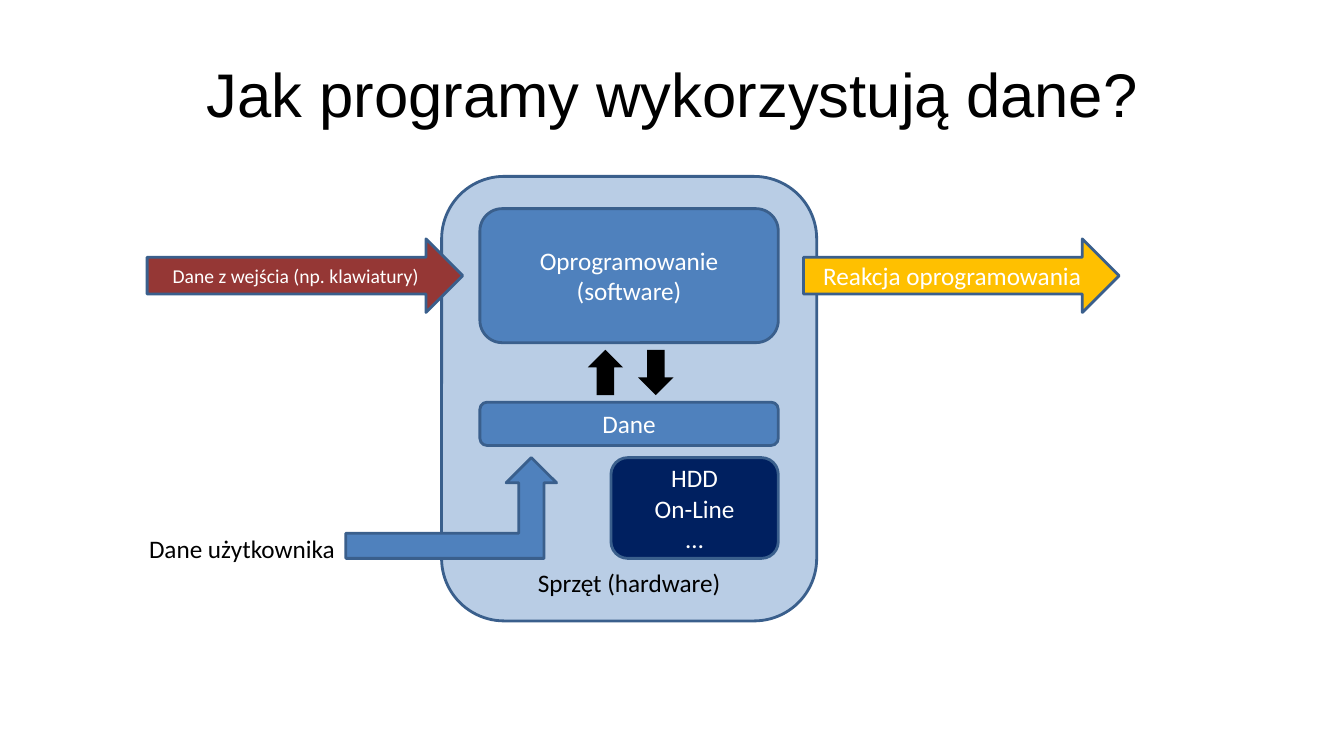
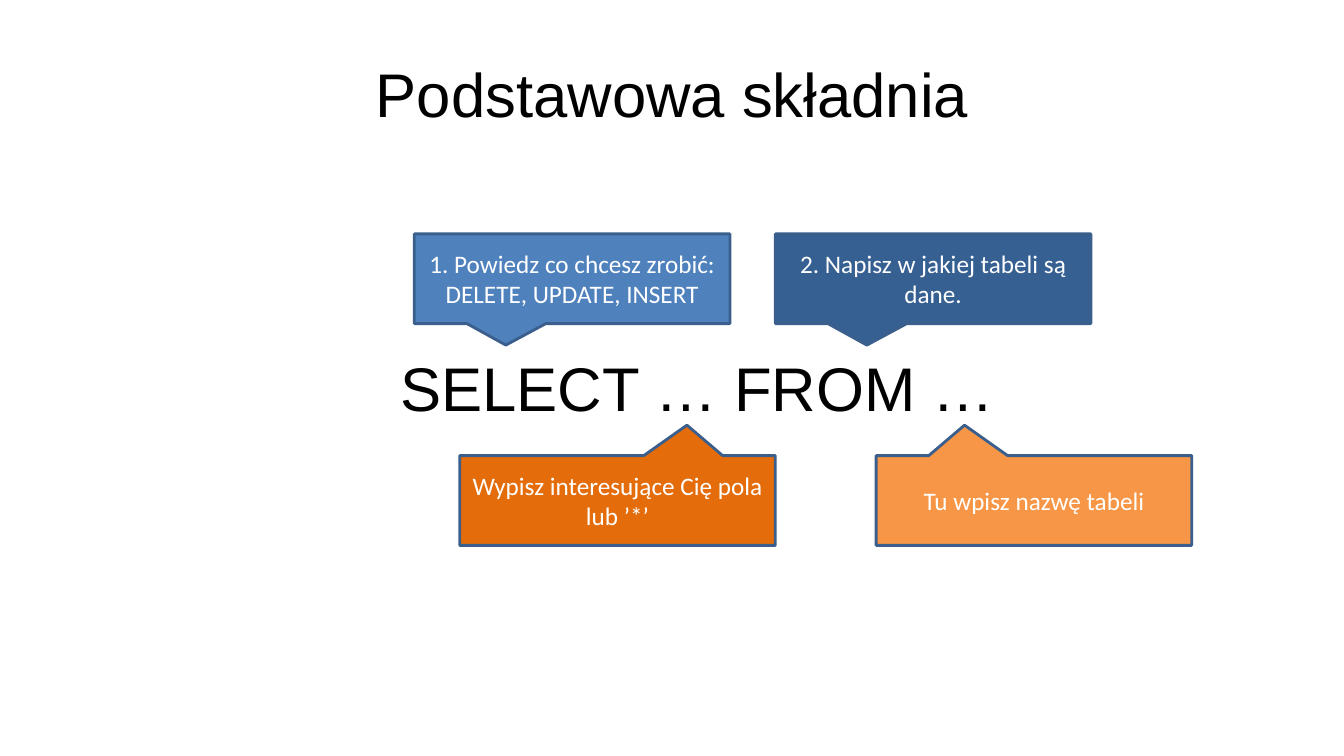
from pptx import Presentation
from pptx import util as u
from pptx.dml.color import RGBColor
from pptx.enum import shapes, text

PX = 9144  # EMU per px, 100 px to the inch
SLIDE_SIZE = (1333, 750)
TITLE_BOX = (67, 30, 1200, 125)
WIDE_INSETS = (12, 6, 12, 6)

BLACK = RGBColor(0x00, 0x00, 0x00)
WHITE = RGBColor(0xFF, 0xFF, 0xFF)
OUTLINE = RGBColor(0x3A, 0x5F, 0x8C)
PALE_BLUE = RGBColor(0xB9, 0xCD, 0xE5)
BLUE = RGBColor(0x4F, 0x81, 0xBD)
DEEP_BLUE = RGBColor(0x37, 0x60, 0x92)
NAVY = RGBColor(0x00, 0x20, 0x60)
RED = RGBColor(0x95, 0x37, 0x35)
YELLOW = RGBColor(0xFF, 0xC0, 0x00)
ORANGE = RGBColor(0xF7, 0x96, 0x46)
DEEP_ORANGE = RGBColor(0xE4, 0x6C, 0x0A)

KIND = shapes.MSO_SHAPE
ANCHOR = text.MSO_ANCHOR
ALIGN = text.PP_ALIGN

BIG = {"name": "Arial", "size": u.Pt(44)}
BODY = {"name": "Calibri", "size": u.Pt(18)}
SMALL = {"name": "Calibri", "size": u.Pt(14)}

# Slide 1: (kind, box, fill, text, format overrides)
FLOW_TITLE = "Jak programy wykorzystują dane?"
INNER_LEFT, INNER_WIDTH = 476, 296
ARROW_TOP, ARROW_SIZE = 237, (313, 73)
FLOW_PARTS = [
    (KIND.ROUNDED_RECTANGLE, (438, 175, 372, 441), PALE_BLUE, "Sprzęt (hardware)",
     {"color": BLACK, "anchor": ANCHOR.BOTTOM}),
    (KIND.ROUNDED_RECTANGLE, (INNER_LEFT, 207, INNER_WIDTH, 133), BLUE,
     "Oprogramowanie\n(software)", {}),
    (KIND.RIGHT_ARROW, (146, ARROW_TOP, *ARROW_SIZE), RED,
     "Dane z wejścia (np. klawiatury)", {"font": SMALL}),
    (KIND.RIGHT_ARROW, (797, ARROW_TOP, *ARROW_SIZE), YELLOW, "Reakcja oprogramowania", {}),
    (KIND.ROUNDED_RECTANGLE, (INNER_LEFT, 399, INNER_WIDTH, 43), BLUE, "Dane", {}),
    (KIND.UP_ARROW, (583, 347, 35, 45), BLACK, "", {"outline": None}),
    (KIND.DOWN_ARROW, (633, 347, 35, 45), BLACK, "", {"outline": None}),
    (KIND.ROUNDED_RECTANGLE, (606, 454, 166, 100), NAVY, "HDD\nOn-Line\n…", {}),
    (KIND.BENT_UP_ARROW, (343, 454, 209, 100), BLUE, "", {}),
]
USER_DATA = ("Dane użytkownika", (138, 524, 207, 40))

# Slide 2: (left, top, fill, pointer tip, text)
SYNTAX_TITLE = "Podstawowa składnia"
STATEMENT = ("SELECT … FROM …", (385, 341, 706, 83))
CALLOUT_SIZE = (313, 89)
UPPER, LOWER = 232, 452
CALLOUTS = [
    (411, UPPER, BLUE, (-0.21, 0.74), "1. Powiedz co chcesz zrobić: DELETE, UPDATE, INSERT"),
    (769, UPPER, DEEP_BLUE, (-0.21, 0.74), "2. Napisz w jakiej tabeli są dane."),
    (869, LOWER, ORANGE, (-0.22, -0.84), "Tu wpisz nazwę tabeli"),
    (456, LOWER, DEEP_ORANGE, (0.22, -0.84), "Wypisz interesujące Cię pola lub ’*’"),
]


def emu(lengths):
    return [u.Emu(length * PX) for length in lengths]


def set_attributes(target, values):
    for name, value in values.items():
        setattr(target, name, value)


def write(shape, words, font=BODY, color=WHITE, align=ALIGN.CENTER,
          anchor=ANCHOR.MIDDLE, wrap=True, insets=(10, 5, 10, 5)):
    frame = shape.text_frame
    sides = ("margin_left", "margin_top", "margin_right", "margin_bottom")
    set_attributes(frame, {"text": words, "word_wrap": wrap, "vertical_anchor": anchor,
                           "auto_size": text.MSO_AUTO_SIZE.NONE,
                           **dict(zip(sides, emu(insets)))})
    for para in frame.paragraphs:
        para.alignment = align
        for span in para.runs:
            set_attributes(span.font, font)
            span.font.color.rgb = color


def add_page(deck, title):
    page = deck.slides.add_slide(deck.slide_layouts[5])
    box = page.shapes.title
    set_attributes(box, dict(zip(("left", "top", "width", "height"), emu(TITLE_BOX))))
    write(box, title, font=BIG, color=BLACK, insets=WIDE_INSETS)
    return page


def add_part(page, kind, box, fill, words, outline=OUTLINE, **style):
    shape = page.shapes.add_shape(kind, *emu(box))
    shape.shadow.inherit = False
    shape.fill.solid()
    shape.fill.fore_color.rgb = fill
    if outline is None:
        shape.line.fill.background()
    else:
        shape.line.color.rgb = outline
        shape.line.width = u.Pt(2)
    if words:
        write(shape, words, **style)
    return shape


def add_label(page, words, box, **style):
    label = page.shapes.add_textbox(*emu(box))
    write(label, words, color=BLACK, align=ALIGN.LEFT, anchor=ANCHOR.TOP, **style)


def main():
    deck = Presentation()
    deck.slide_width, deck.slide_height = emu(SLIDE_SIZE)

    # Data flow diagram
    page = add_page(deck, FLOW_TITLE)
    for kind, box, fill, words, style in FLOW_PARTS:
        add_part(page, kind, box, fill, words, **style)
    add_label(page, *USER_DATA, wrap=False)

    # Statement with callouts
    page = add_page(deck, SYNTAX_TITLE)
    add_label(page, *STATEMENT, font=BIG, insets=WIDE_INSETS)
    for left, top, fill, tip, words in CALLOUTS:
        callout = add_part(page, KIND.RECTANGULAR_CALLOUT, (left, top, *CALLOUT_SIZE),
                           fill, words)
        for index, offset in enumerate(tip):
            callout.adjustments[index] = offset

    deck.save("out.pptx")


if __name__ == "__main__":
    main()
